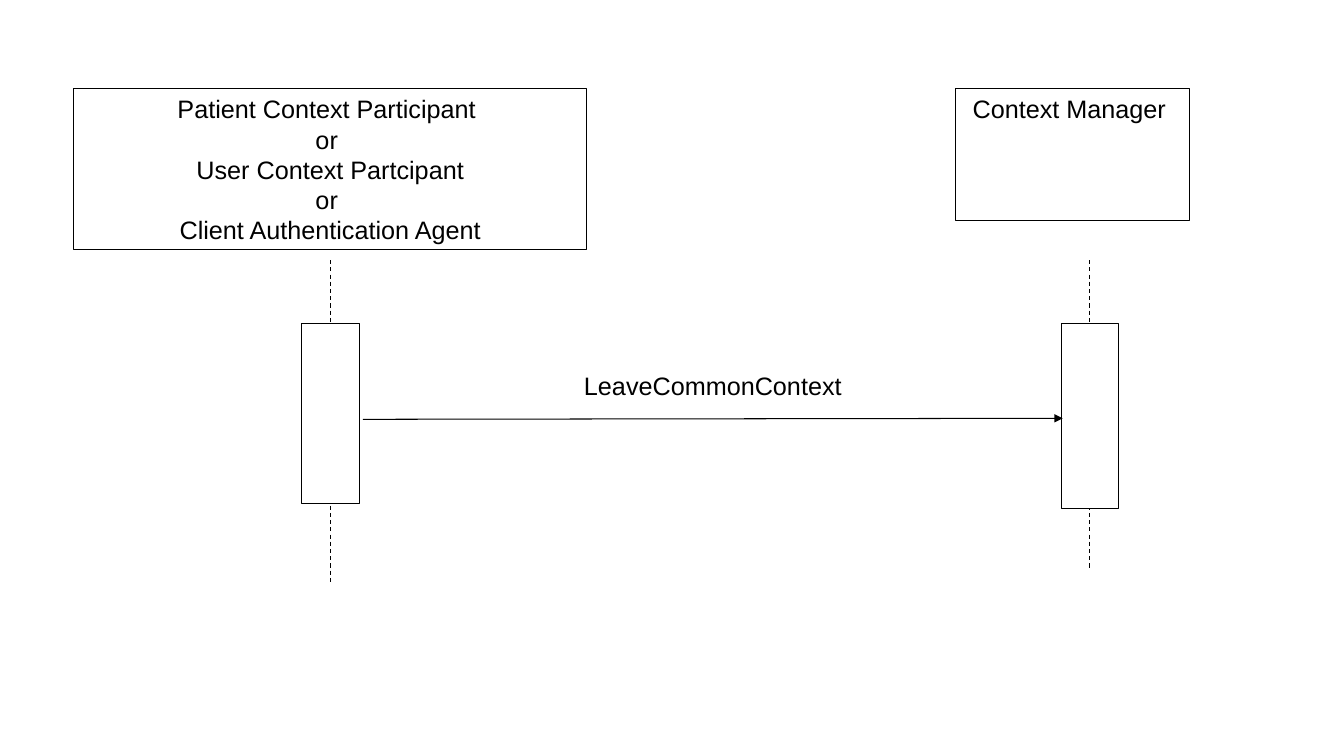
"""Build a sequence diagram slide for leaving a common context."""
from dataclasses import dataclass

from lxml import etree
from pptx import Presentation
from pptx.dml.color import RGBColor
from pptx.enum.dml import MSO_LINE
from pptx.enum.shapes import MSO_CONNECTOR, MSO_SHAPE
from pptx.enum.text import MSO_ANCHOR, PP_ALIGN
from pptx.oxml.ns import qn
from pptx.util import Inches, Pt


@dataclass(frozen=True)
class Theme:
    ink: RGBColor = RGBColor(0, 0, 0)
    paper: RGBColor = RGBColor(255, 255, 255)
    font: str = "Arial"
    size: Pt = Pt(18)
    stroke: Pt = Pt(0.75)


THEME = Theme()
LIFELINE_TOP, ACTIVATION_TOP = 2.58, 3.21
PARTICIPANTS = [
    {
        "lines": [
            "Patient Context Participant ",
            "or ",
            "User Context Partcipant\vor ",
            "Client Authentication Agent",
        ],
        "box": (0.73, 0.88, 5.09, 1.6),
        "axis": 3.28,
        "lifeline_end": 5.79,
        "activation": (0.58, 1.79),
    },
    {
        "lines": ["Context Manager "],
        "box": (9.48, 0.88, 2.32, 1.31),
        "axis": 10.81,
        "lifeline_end": 5.66,
        "activation": (0.56, 1.84),
    },
]
MESSAGE = {
    "text": "LeaveCommonContext",
    "label": (5.13, 3.67, 3.88, 0.58),
    "start": (3.6, 4.16),
    "end": (10.54, 4.15),
}


def write(frame, lines):
    frame.word_wrap = True
    frame.vertical_anchor = MSO_ANCHOR.TOP
    frame.text = "\n".join(lines)
    for paragraph in frame.paragraphs:
        paragraph.alignment = PP_ALIGN.CENTER
        for run in paragraph.runs:
            run.font.name = THEME.font
            run.font.size = THEME.size
            run.font.color.rgb = THEME.ink


def add_box(shapes, bounds):
    box = shapes.add_shape(MSO_SHAPE.RECTANGLE, *map(Inches, bounds))
    box.shadow.inherit = False
    box.fill.solid()
    box.fill.fore_color.rgb = THEME.paper
    box.line.color.rgb = THEME.ink
    box.line.width = THEME.stroke
    return box


def add_line(shapes, start, end):
    line = shapes.add_connector(MSO_CONNECTOR.STRAIGHT, *map(Inches, start + end))
    line.line.color.rgb = THEME.ink
    line.line.width = THEME.stroke
    etree.SubElement(line._element.spPr, qn("a:effectLst"))
    return line


def add_participant(shapes, participant):
    axis = participant["axis"]
    width, height = participant["activation"]
    write(add_box(shapes, participant["box"]).text_frame, participant["lines"])
    lifeline = add_line(shapes, (axis, LIFELINE_TOP), (axis, participant["lifeline_end"]))
    lifeline.line.dash_style = MSO_LINE.DASH
    add_box(shapes, (axis - width / 2, ACTIVATION_TOP, width, height))


def add_message(shapes, message):
    arrow = add_line(shapes, message["start"], message["end"])
    etree.SubElement(arrow.line._get_or_add_ln(), qn("a:tailEnd"), type="triangle")
    frame = shapes.add_textbox(*map(Inches, message["label"])).text_frame
    frame.margin_left = frame.margin_right = frame.margin_top = frame.margin_bottom = 0
    write(frame, [message["text"]])


prs = Presentation()
prs.slide_width, prs.slide_height = Inches(13.33), Inches(7.5)
slide = prs.slides.add_slide(prs.slide_layouts[6])
for participant in PARTICIPANTS:
    add_participant(slide.shapes, participant)
add_message(slide.shapes, MESSAGE)
prs.save("out.pptx")
